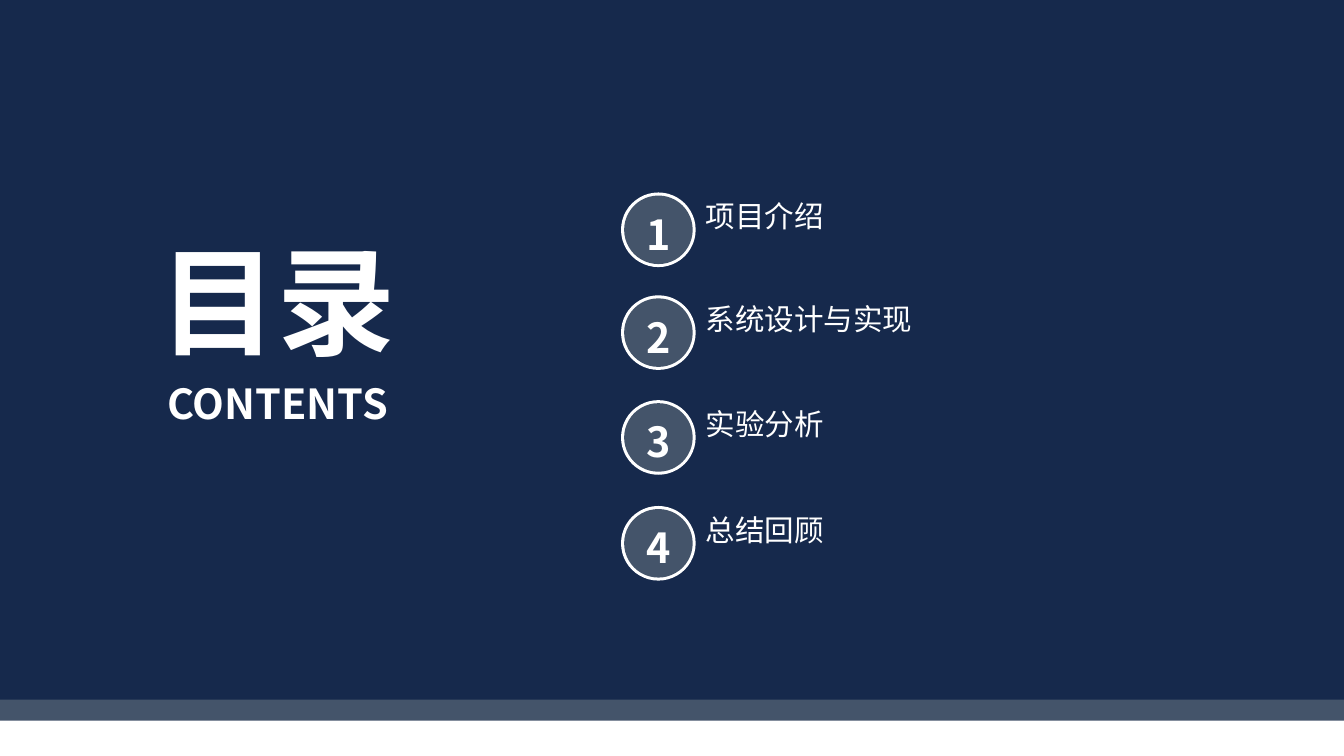
from pptx import Presentation
from pptx.dml.color import RGBColor
from pptx.enum import shapes, text
from pptx.oxml.ns import qn
from pptx.util import Inches, Pt

NAVY = RGBColor(0x16, 0x29, 0x4C)
SLATE = RGBColor(0x44, 0x54, 0x6A)
WHITE = RGBColor(0xFF, 0xFF, 0xFF)
FONT = "Noto Sans CJK SC"
CENTER, LEFT = text.PP_ALIGN.CENTER, text.PP_ALIGN.LEFT


def add_plain(parent, kind, box, color):
    sp = parent.add_shape(kind, *map(Inches, box))
    sp.shadow.inherit = False
    sp.fill.solid()
    sp.fill.fore_color.rgb = color
    sp.line.fill.background()


def write(sp, words, size, bold=True, align=CENTER):
    tf = sp.text_frame
    frame = {"word_wrap": True, "auto_size": text.MSO_AUTO_SIZE.SHAPE_TO_FIT_TEXT,
             "vertical_anchor": text.MSO_ANCHOR.MIDDLE, "margin_left": 0,
             "margin_right": 0, "margin_top": 0, "margin_bottom": 0}
    for name, value in frame.items():
        setattr(tf, name, value)
    p = tf.paragraphs[0]
    p.alignment, p.line_spacing = align, 1.16
    p.space_before = Pt(0)
    r = p.add_run()
    r.text = words
    for name, value in {"name": FONT, "size": Pt(size), "bold": bold}.items():
        setattr(r.font, name, value)
    r.font.color.rgb = WHITE
    # East Asian typeface
    ea = r.font._element.makeelement(qn("a:ea"), {"typeface": FONT})
    r.font._element.append(ea)


prs = Presentation()
prs.slide_width, prs.slide_height = Inches(13.33), Inches(7.5)
s = prs.slides.add_slide(prs.slide_layouts[5])

# Bottom strip and navy panel
RECT, OVAL = shapes.MSO_SHAPE.RECTANGLE, shapes.MSO_SHAPE.OVAL
add_plain(s.shapes, RECT, (-0.01, 6.74, 13.35, 0.41), SLATE)
add_plain(s.shapes, RECT, (-0.01, -0.01, 13.35, 6.95), NAVY)

# Title, brought in front of the panel
title = s.shapes.title
title.left, title.top = Inches(1.07), Inches(2.09)
title.width, title.height = Inches(3.37), Inches(1.54)
write(title, "目录", 84.4)
s.shapes._spTree.append(title._element)

# Subtitle
subtitle = s.shapes.add_textbox(*map(Inches, (1.31, 3.69, 2.89, 0.54)))
write(subtitle, "CONTENTS", 29.5)

# Numbered entries
entries = [(1.91, "项目介绍"), (2.93, "系统设计与实现"),
           (3.97, "实验分析"), (5.02, "总结回顾")]
for number, (top, label) in enumerate(entries, 1):
    group = s.shapes.add_group_shape().shapes
    add_plain(group, OVAL, (6.16, top, 0.74, 0.74), WHITE)
    add_plain(group, OVAL, (6.19, top + 0.03, 0.68, 0.68), SLATE)
    badge = group.add_textbox(*map(Inches, (6.07, top + 0.1, 0.92, 0.54)))
    write(badge, str(number), 29.5)
    caption = group.add_textbox(*map(Inches, (7, top + 0.01, 4.39, 0.39)))
    write(caption, label, 21.1, False, LEFT)

prs.save("out.pptx")
